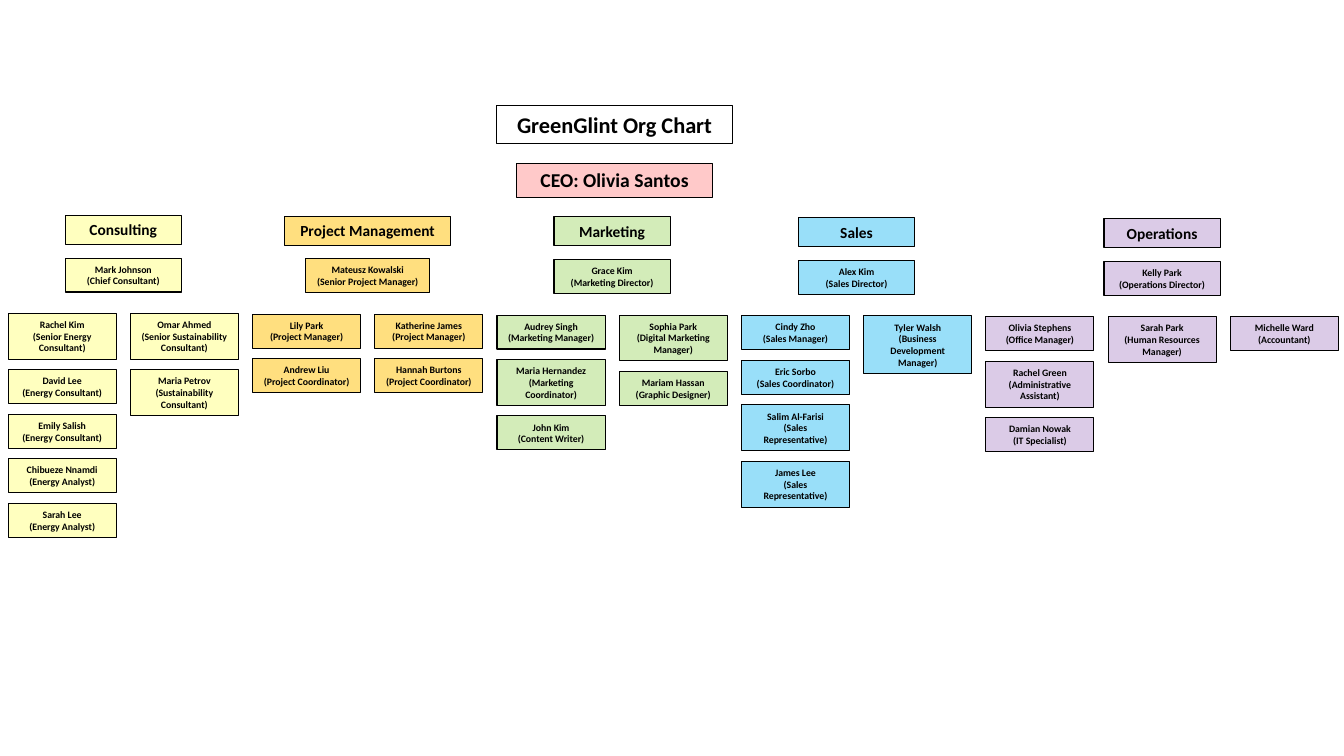
from pptx import Presentation
from pptx.dml.color import RGBColor
from pptx.enum.shapes import MSO_SHAPE
from pptx.enum.text import MSO_ANCHOR, MSO_AUTO_SIZE, PP_ALIGN
from pptx.util import Pt
from lxml.etree import SubElement

COLORS = {
    "ink": "000000", "ceo": "FF0000", "consulting": "FFFF00", "projects": "FFC000",
    "marketing": "92D050", "sales": "00B0F0", "operations": "7030A0",
}
OPACITY = {
    "ceo": 21, "consulting": 25, "projects": 50, "marketing": 40, "sales": 40, "operations": 25,
}

# Department: colour key, heading, heading width, lead, lead width, team columns.
# A team member is a name, a role and the number of text lines on the card.
DEPARTMENTS = [
    ("consulting", "Consulting", 83, "Mark Johnson\n(Chief Consultant)", 83, [
        [("Rachel Kim", "Senior Energy Consultant", 3),
         ("David Lee", "Energy Consultant", 2),
         ("Emily Salish", "Energy Consultant", 2),
         ("Chibueze Nnamdi", "Energy Analyst", 2),
         ("Sarah Lee", "Energy Analyst", 2)],
        [("Omar Ahmed", "Senior Sustainability Consultant", 3),
         ("Maria Petrov", "Sustainability Consultant", 3)],
    ]),
    ("projects", "Project Management", 119, "Mateusz Kowalski\n(Senior Project Manager)", 88.5, [
        [("Lily Park", "Project Manager", 2),
         ("Andrew Liu", "Project Coordinator", 2)],
        [("Katherine James", "Project Manager", 2),
         ("Hannah Burtons", "Project Coordinator", 2)],
    ]),
    ("marketing", "Marketing", 83, "Grace Kim\n(Marketing Director)", 83, [
        [("Audrey Singh", "Marketing Manager", 2),
         ("Maria Hernandez", "Marketing Coordinator", 3),
         ("John Kim", "Content Writer", 2)],
        [("Sophia Park", "Digital Marketing Manager", 3),
         ("Mariam Hassan", "Graphic Designer", 2)],
    ]),
    ("sales", "Sales", 83, "Alex Kim\n(Sales Director)", 83, [
        [("Cindy Zho", "Sales Manager", 2),
         ("Eric Sorbo", "Sales Coordinator", 2),
         ("Salim Al-Farisi", "Sales Representative", 3),
         ("James Lee", "Sales Representative", 3)],
        [("Tyler Walsh", "Business Development Manager", 4)],
    ]),
    ("operations", "Operations", 83, "Kelly Park\n(Operations Director)", 83, [
        [("Olivia Stephens", "Office Manager", 2),
         ("Rachel Green", "Administrative Assistant", 3),
         ("Damian Nowak", "IT Specialist", 2)],
        [("Sarah Park", "Human Resources Manager", 3)],
        [("Michelle Ward", "Accountant", 2)],
    ]),
]

CHART_CENTER = 439
FIRST_COLUMN, COLUMN_STEP, CARD_WIDTH = 5.8, 87.3, 77.2
CARD_GAP, LINE_HEIGHT, CARD_PADDING = 7.5, 8.5, 7.3
HEADING_TOP, DEPARTMENT_DROP = 153.8, 0.6
LEAD_OFFSET, TEAM_OFFSET = 30.5, 70


def format_box(box, text, size, auto_size):
    """Outline a box and give it centred bold text."""
    box.line.color.rgb = RGBColor.from_string(COLORS["ink"])
    box.line.width = Pt(0.75)
    frame = box.text_frame
    frame.text = text
    frame.word_wrap = True
    frame.auto_size = auto_size
    frame.vertical_anchor = MSO_ANCHOR.MIDDLE
    for para in frame.paragraphs:
        para.alignment = PP_ALIGN.CENTER
        for span in para.runs:
            span.font.name = "Calibri"
            span.font.size = Pt(size)
            span.font.bold = True
            span.font.color.rgb = RGBColor.from_string(COLORS["ink"])


def add_card(center, top, width, height, key, text, size=7):
    """Add a translucent card centred on a horizontal position."""
    box = page.shapes.add_shape(
        MSO_SHAPE.RECTANGLE, Pt(center - width / 2), Pt(top), Pt(width), Pt(height))
    box.shadow.inherit = False
    box.fill.solid()
    box.fill.fore_color.rgb = RGBColor.from_string(COLORS[key])
    color = box._element.spPr.find(".//{*}srgbClr")
    SubElement(color, color.tag.replace("srgbClr", "alpha"), val=str(OPACITY[key] * 1000))
    format_box(box, text, size, MSO_AUTO_SIZE.SHAPE_TO_FIT_TEXT)


deck = Presentation()
deck.slide_width, deck.slide_height = Pt(960), Pt(540)
page = deck.slides.add_slide(deck.slide_layouts[5])

title = page.shapes.title
title.left, title.top, title.width, title.height = Pt(CHART_CENTER - 84.25), Pt(75.6), Pt(168.5), Pt(26.7)
format_box(title, "GreenGlint Org Chart", 16, MSO_AUTO_SIZE.NONE)

add_card(CHART_CENTER, 116.5, 140.5, 24.3, "ceo", "CEO: Olivia Santos", 14)

column_left = FIRST_COLUMN
for index, (key, heading, heading_width, lead, lead_width, team) in enumerate(DEPARTMENTS):
    heading_top = HEADING_TOP + index * DEPARTMENT_DROP
    center = column_left + ((len(team) - 1) * COLUMN_STEP + CARD_WIDTH) / 2
    add_card(center, heading_top, heading_width, 20.7, key, heading, 11)
    add_card(center, heading_top + LEAD_OFFSET, lead_width,
             CARD_PADDING + 2 * LINE_HEIGHT, key, lead)

    for column in team:
        top = heading_top + TEAM_OFFSET
        for name, role, lines in column:
            height = CARD_PADDING + lines * LINE_HEIGHT
            add_card(column_left + CARD_WIDTH / 2, top, CARD_WIDTH, height, key, f"{name}\n({role})")
            top += height + CARD_GAP
        column_left += COLUMN_STEP

deck.save("out.pptx")
